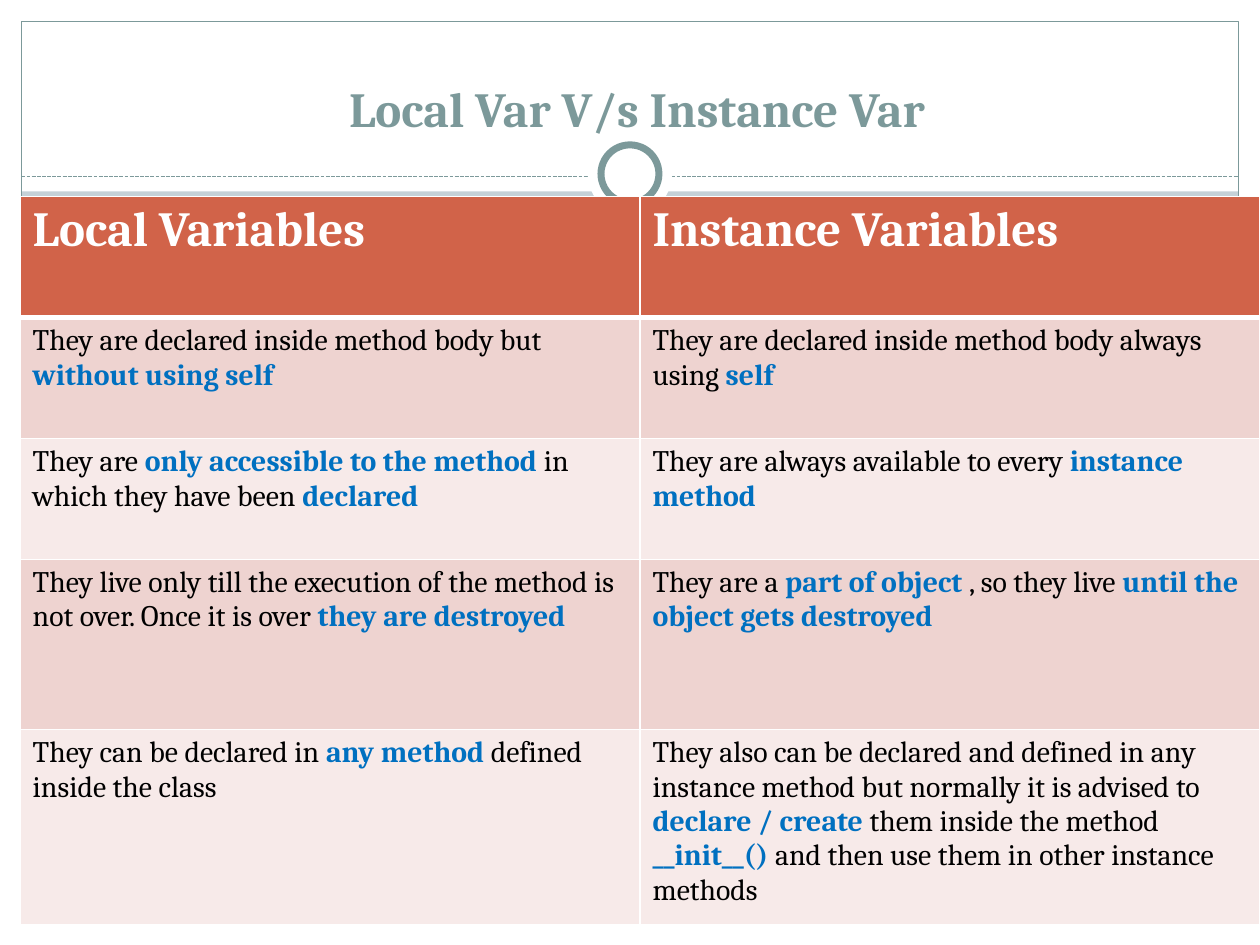
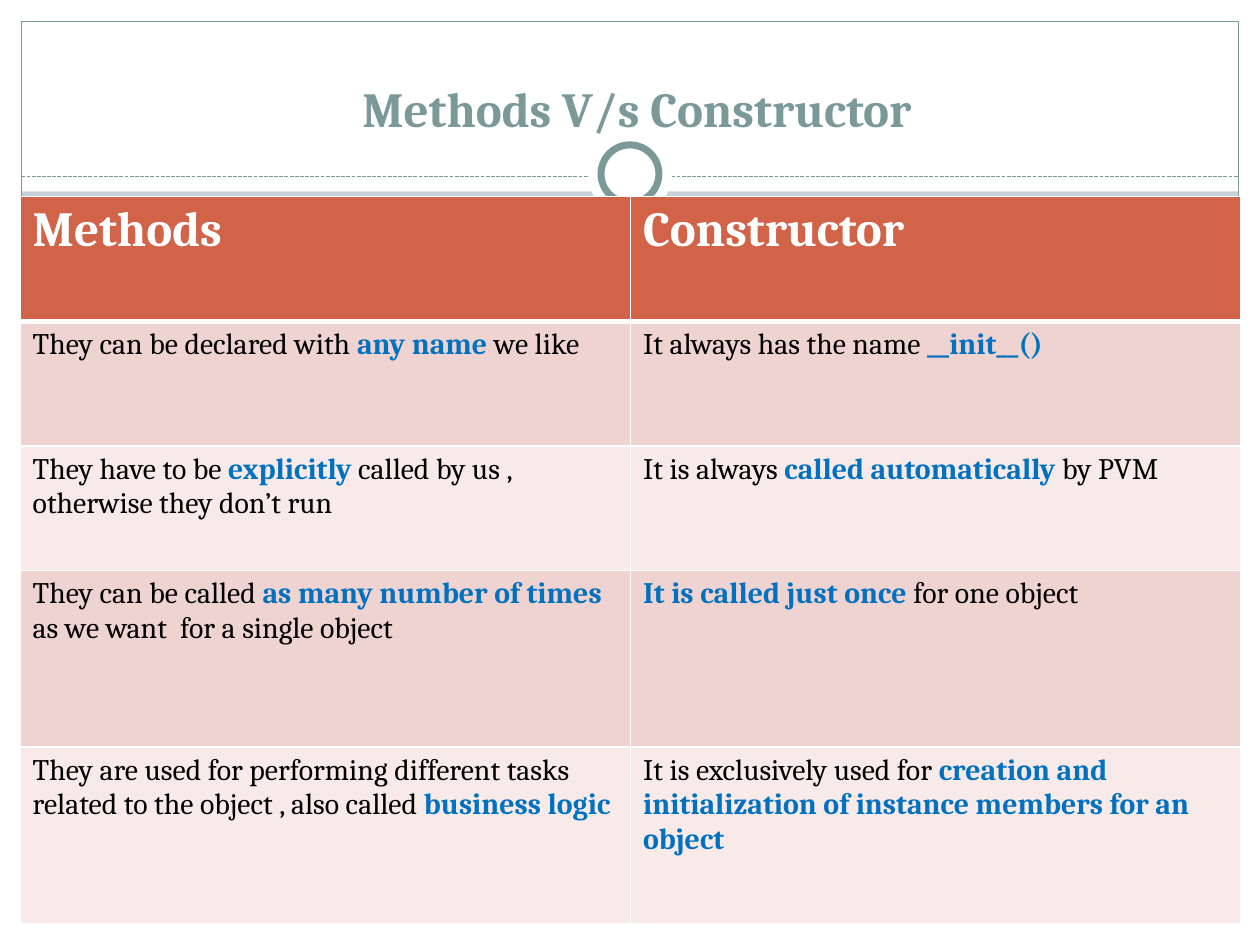
"""Build two comparison slides that share a framed title band and a two-column table."""
from lxml.etree import SubElement
from pptx import Presentation
from pptx.dml.color import RGBColor
from pptx.enum.dml import MSO_LINE
from pptx.enum.shapes import MSO_CONNECTOR, MSO_SHAPE
from pptx.enum.text import MSO_ANCHOR, PP_ALIGN
from pptx.oxml.ns import qn
from pptx.util import Inches, Pt

FONT = "Cambria"
WHITE, BLACK, TEAL, BLUE = "FFFFFF", "000000", "7C999A", "0070C0"
BACK, BAND, HEAD = "C5D1D7", "8CADAE", "D16349"
ROWS = ("F7EAE9", "EED3D0")
WIDE, HIGH, EDGE = 10, 7.5, 0.17
LEFT, TOP = 0.16, 1.56

# Text between asterisks is emphasised.
SLIDES = [
    {
        "title": "Local Var V/s Instance Var",
        "width": 9.84,
        "heights": (0.96, 0.96, 0.96, 1.35, 1.55),
        "cells": [
            ("Local Variables", "Instance Variables"),
            ("They are declared inside method body but *without using self*",
             "They are declared inside method body always using *self*"),
            ("They are *only accessible to the method* in which they have been *declared*",
             "They are always available to every *instance method*"),
            ("They live only till the execution of the method is not over. "
             "Once it is over *they are destroyed*",
             "They are a *part of object *, so they live *until the object gets destroyed*"),
            ("They can be declared in *any method *defined inside the class",
             "They also can be declared and defined in any instance method but normally "
             "it is advised to *declare / create *them inside the method *__init__() *"
             "and then use them in other instance methods"),
        ],
    },
    {
        "title": "Methods V/s Constructor",
        "width": 9.69,
        "heights": (0.99, 0.99, 0.99, 1.4, 1.4),
        "cells": [
            ("Methods", "Constructor"),
            ("They can be declared with *any name *we like",
             "It always has the name *__init__()*"),
            ("They have to be *explicitly *called by us , otherwise they don’t run",
             "It is always *called automatically *by PVM"),
            ("They can be called *as many number of times *as we want  for a single object",
             "*It is called just once *for one object"),
            ("They are used for performing different tasks related to the object , "
             "also called *business logic*",
             "It is exclusively used for *creation and initialization of instance "
             "members for an object*"),
        ],
    },
]


def tint(code):
    return RGBColor.from_string(code)


def box(slide, kind, place, fill=None, line=None, weight=0.75):
    shape = slide.shapes.add_shape(kind, *map(Inches, place))
    shape.shadow.inherit = False
    if fill:
        shape.fill.solid()
        shape.fill.fore_color.rgb = tint(fill)
    else:
        shape.fill.background()
    if line:
        shape.line.color.rgb = tint(line)
        shape.line.width = Pt(weight)
    else:
        shape.line.fill.background()


def write(para, text, size, color, bold):
    run = para.add_run()
    run.text = text
    font = run.font
    font.name, font.size, font.bold = FONT, Pt(size), bold
    font.color.rgb = tint(color)


def ring(slide, size, **look):
    box(slide, MSO_SHAPE.OVAL, ((WIDE - size) / 2, 1.38 - size / 2, size, size), WHITE, **look)


def frame(slide, title):
    slide.background.fill.solid()
    slide.background.fill.fore_color.rgb = tint(BACK)
    inner = WIDE - 2 * EDGE
    for place in ((0, HIGH - EDGE, WIDE, EDGE), (0, 0, WIDE, 1.52),
                  (0, 0, EDGE, HIGH), (WIDE - EDGE, 0, EDGE, HIGH)):
        box(slide, MSO_SHAPE.RECTANGLE, place, WHITE)
    box(slide, MSO_SHAPE.RECTANGLE, (LEFT, 6.99, inner, 0.34), BAND)
    box(slide, MSO_SHAPE.RECTANGLE, (EDGE, EDGE, inner, HIGH - 2 * EDGE), line=TEAL)
    rule = slide.shapes.add_connector(
        MSO_CONNECTOR.STRAIGHT, *map(Inches, (EDGE, 1.4, WIDE - EDGE, 1.4)))
    rule.line.color.rgb = tint(TEAL)
    rule.line.width = Pt(0.75)
    rule.line.dash_style = MSO_LINE.SQUARE_DOT
    SubElement(rule.element.spPr, qn("a:effectLst"))
    ring(slide, 0.67)
    ring(slide, 0.46, line=TEAL, weight=4)
    text = slide.shapes.add_textbox(*map(Inches, (0.39, 0.31, 9.33, 0.83))).text_frame
    text.word_wrap = True
    text.vertical_anchor = MSO_ANCHOR.BOTTOM
    para = text.paragraphs[0]
    para.alignment = PP_ALIGN.CENTER
    write(para, title, 28, TEAL, True)


def border(cell, row):
    props = cell._tc.get_or_add_tcPr()
    top, base = 3 if row == 1 else 1, 3 if row == 0 else 1
    for side, weight in (("L", 1), ("R", 1), ("T", top), ("B", base)):
        line = SubElement(props, qn("a:ln" + side), w=str(Pt(weight)))
        SubElement(SubElement(line, qn("a:solidFill")), qn("a:srgbClr"), val=WHITE)


def grid(slide, width, heights, cells):
    count = len(cells[0])
    table = slide.shapes.add_table(
        len(cells), count, *map(Inches, (LEFT, TOP, width, sum(heights)))).table
    for col in table.columns:
        col.width = Inches(width / count)
    for row, (high, texts) in enumerate(zip(heights, cells)):
        table.rows[row].height = Inches(high)
        for col, text in enumerate(texts):
            cell = table.cell(row, col)
            border(cell, row)
            cell.fill.solid()
            cell.fill.fore_color.rgb = tint(ROWS[row % 2] if row else HEAD)
            para = cell.text_frame.paragraphs[0]
            if row == 0:
                write(para, text, 28, WHITE, True)
                continue
            for part, piece in enumerate(text.split("*")):
                strong = part % 2 == 1
                if piece:
                    write(para, piece, 17, BLUE if strong else BLACK, strong)


def main():
    deck = Presentation()
    deck.slide_width, deck.slide_height = Inches(WIDE), Inches(HIGH)
    for page in SLIDES:
        slide = deck.slides.add_slide(deck.slide_layouts[6])
        frame(slide, page["title"])
        grid(slide, page["width"], page["heights"], page["cells"])
    deck.save("out.pptx")


if __name__ == "__main__":
    main()
